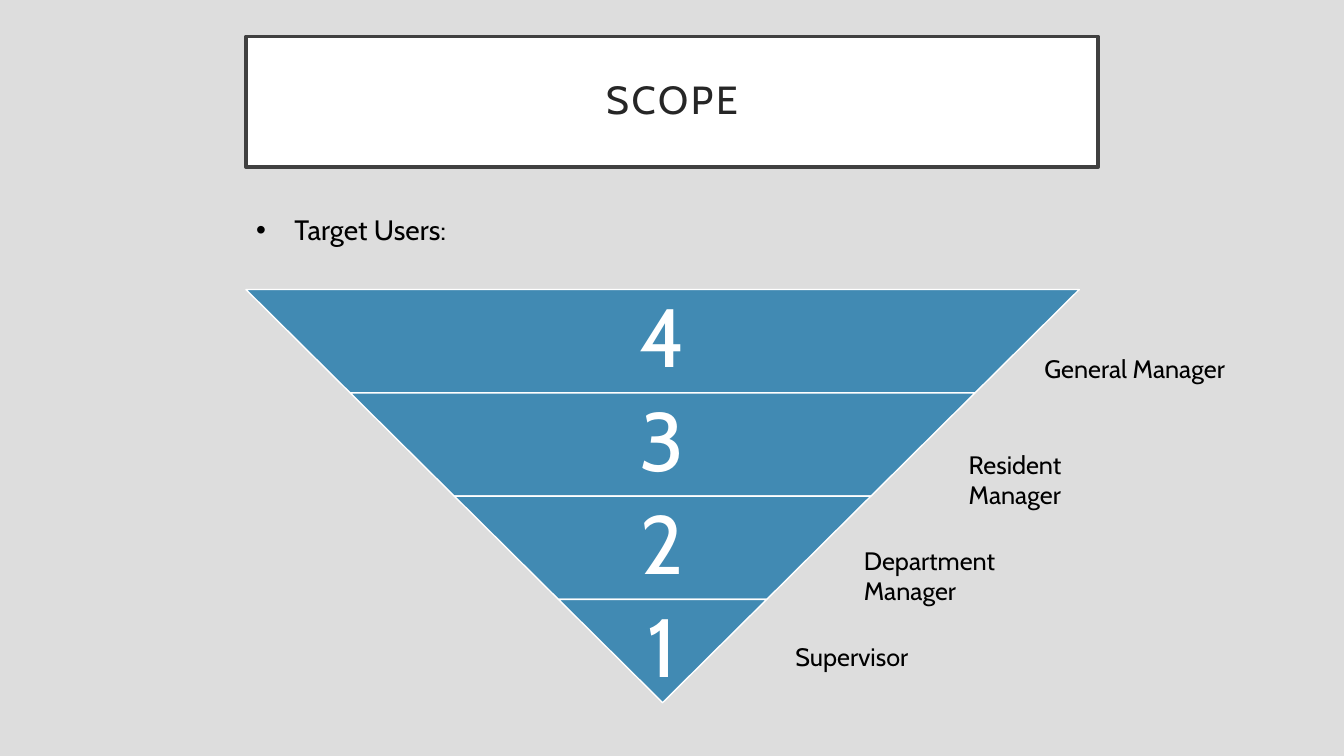
from lxml.etree import SubElement
from pptx import Presentation
from pptx.dml.color import RGBColor
from pptx.enum.shapes import MSO_SHAPE
from pptx.enum.text import MSO_ANCHOR, MSO_AUTO_SIZE, PP_ALIGN
from pptx.oxml.ns import qn
from pptx.util import Inches, Pt

WIDTH, HEIGHT = 13.33, 7.5
FONT = "Cabin"
BACKGROUND, WHITE, BLACK = "DDDDDD", "FFFFFF", "000000"
FRAME, HEADING, BLUE = "404040", "262626", "418AB3"


def color(hex_code):
    return RGBColor.from_string(hex_code)


def write(frame, text, size, ink=BLACK, align=PP_ALIGN.LEFT, anchor=MSO_ANCHOR.TOP,
          margins=(0.1, 0.05), line=1.0, tracking=0, fit=MSO_AUTO_SIZE.NONE):
    """Fill a text frame with one formatted paragraph and return the paragraph."""
    frame.word_wrap = True
    frame.auto_size = fit
    frame.vertical_anchor = anchor
    frame.margin_left = frame.margin_right = Inches(margins[0])
    frame.margin_top = frame.margin_bottom = Inches(margins[1])
    paragraph = frame.paragraphs[0]
    paragraph.alignment = align
    paragraph.line_spacing = line
    paragraph.space_before = paragraph.space_after = Pt(0)
    run = paragraph.add_run()
    run.text = text
    run.font.name, run.font.size, run.font.bold = FONT, Pt(size), False
    run.font.color.rgb = color(ink)
    if tracking:
        run.font._element.set("spc", str(tracking * 100))
    return paragraph


class Deck:
    """Places elements by percentages of the slide: left, top, width, height."""

    def __init__(self):
        self.show = Presentation()
        self.show.slide_width, self.show.slide_height = Inches(WIDTH), Inches(HEIGHT)
        self.slide = self.show.slides.add_slide(self.show.slide_layouts[1])
        self.slide.background.fill.solid()
        self.slide.background.fill.fore_color.rgb = color(BACKGROUND)

    def area(self, left, top, width, height):
        return [Inches(share * side / 100) for share, side in
                ((left, WIDTH), (top, HEIGHT), (width, WIDTH), (height, HEIGHT))]

    def move(self, holder, area):
        holder.left, holder.top, holder.width, holder.height = self.area(*area)

    def paint(self, shape, fill, line, weight):
        shape.fill.solid()
        shape.fill.fore_color.rgb = color(fill)
        shape.line.color.rgb = color(line)
        shape.line.width = Pt(weight)

    def title(self, text, area):
        heading = self.slide.shapes.title
        self.move(heading, area)
        self.paint(heading, WHITE, FRAME, 2.5)
        write(heading.text_frame, text, 28, HEADING, PP_ALIGN.CENTER, MSO_ANCHOR.MIDDLE,
              margins=(0.2, 0.2), line=0.9, tracking=2)

    def bullet(self, text, area):
        body = self.slide.placeholders[1]
        self.move(body, area)
        paragraph = write(body.text_frame, text, 20, fit=MSO_AUTO_SIZE.SHAPE_TO_FIT_TEXT)
        properties = paragraph._p.get_or_add_pPr()
        indent = Inches(0.38)
        properties.set("marL", str(indent))
        properties.set("indent", str(-indent))
        SubElement(properties, qn("a:buFont"), typeface="Arial")
        SubElement(properties, qn("a:buChar"), char="•")

    def tier(self, area, slope):
        band = self.slide.shapes.add_shape(MSO_SHAPE.TRAPEZOID, *self.area(*area))
        band.rotation = 180
        band.adjustments[0] = slope
        band.shadow.inherit = False
        self.paint(band, BLUE, WHITE, 1)

    def text(self, text, area, size, **style):
        box = self.slide.shapes.add_textbox(*self.area(*area))
        write(box.text_frame, text, size, **style)


def main():
    deck = Deck()
    deck.title("SCOPE", (18.3, 4.8, 63.4, 17.33))
    deck.bullet("Target Users:", (18.3, 27.47, 35.33, 5.87))

    # Inverted pyramid: each tier is one step narrower than the tier above
    center, pyramid_top, tier_height, step = 49.3, 38.3, 13.66, 15.5
    slope = (step / 2 * WIDTH) / (tier_height * HEIGHT)
    for row, level in enumerate((4, 3, 2, 1)):
        width, top = level * step, pyramid_top + row * tier_height
        deck.tier((center - width / 2, top, width, tier_height), slope)
        inner = width if level == 1 else width * 0.65
        deck.text(str(level), (center - inner / 2, top, inner, tier_height), 59,
                  ink=WHITE, align=PP_ALIGN.CENTER, anchor=MSO_ANCHOR.MIDDLE,
                  margins=(0.08, 0.08), line=0.9)

    # User roles down the right edge: name, left, width
    roles = (("General Manager", 76.97, 19.73), ("Resident Manager", 71.34, 15.45),
             ("Department Manager", 63.54, 18.38), ("Supervisor", 58.44, 10.2))
    for row, (role, left, width) in enumerate(roles):
        deck.text(role, (left, 46.13 + row * 12.67, width, 5.33), 18,
                  fit=MSO_AUTO_SIZE.SHAPE_TO_FIT_TEXT)

    deck.show.save("out.pptx")


if __name__ == "__main__":
    main()
